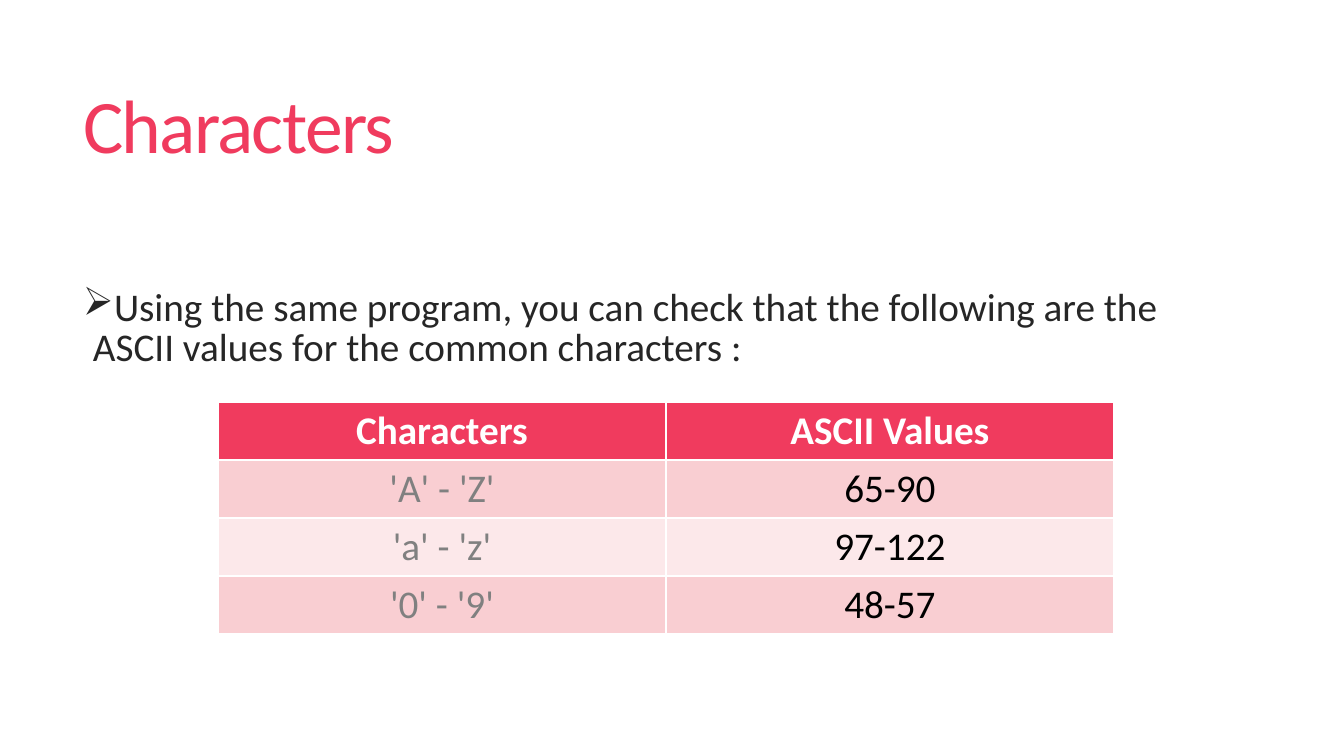
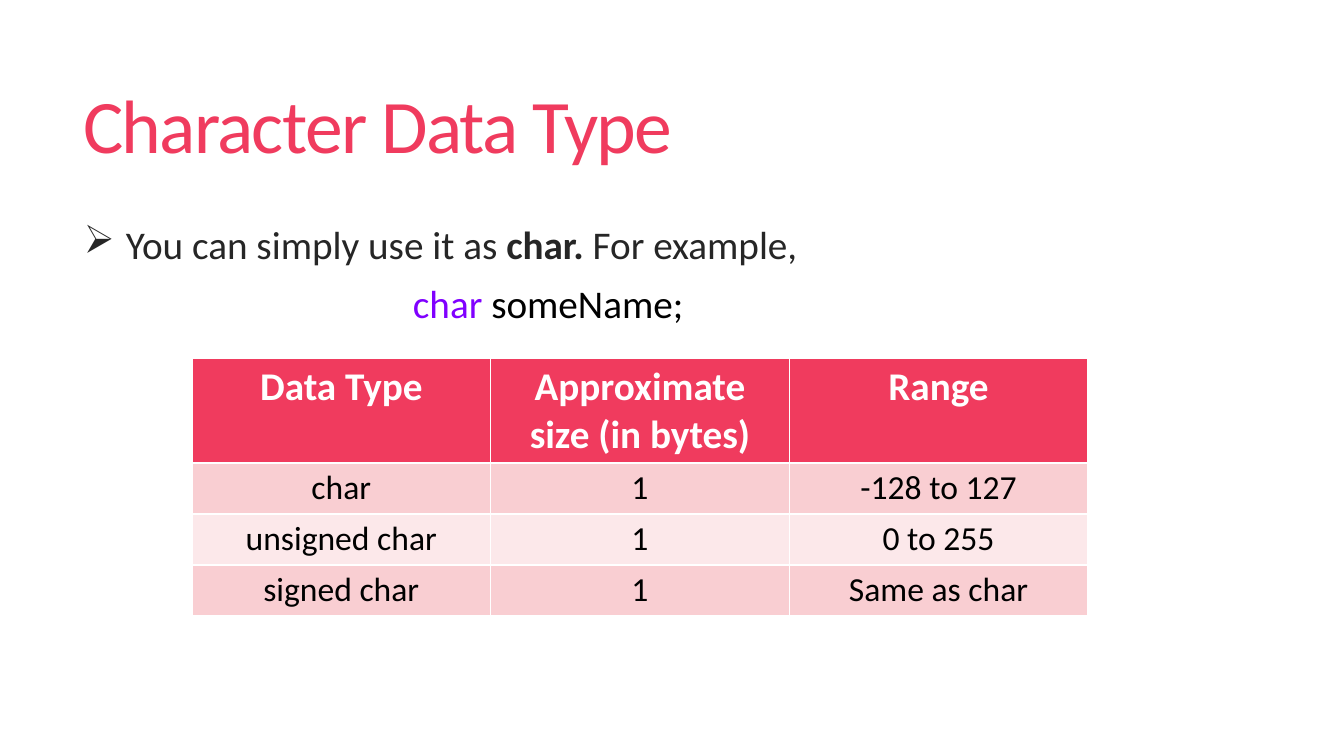
from lxml import etree
from pptx import Presentation
from pptx import util as u
from pptx.dml.color import RGBColor
from pptx.enum import text
from pptx.oxml import ns

ROSE = RGBColor(0xF0, 0x3B, 0x5E)
PINK = RGBColor(0xF9, 0xCE, 0xD2)
PALE = RGBColor(0xFC, 0xE8, 0xEA)
WHITE = RGBColor(0xFF, 0xFF, 0xFF)
BLACK = RGBColor(0, 0, 0)
GREY = RGBColor(0x80, 0x80, 0x80)
INK = RGBColor(0x26, 0x26, 0x26)
VIOLET = RGBColor(0x80, 0, 0xFF)
FONT = "Calibri"
TITLE_BOX = (73, 39, 1187, 183)
BODY_SIZE = 28
LINE_SPACING = 0.85
TABLE_WIDTH = 896


def px(pixels):
    return u.Emu(round(pixels * 914400 / 100.8))


def set_font(font, size, color, bold=False):
    font.name = FONT
    font.size = u.Pt(size)
    font.color.rgb = color
    font.bold = bold


def add_page(deck, title):
    """Add a title-only slide with the shared title style."""
    page = deck.slides.add_slide(deck.slide_layouts[5])
    box = page.shapes.title
    box.left, box.top, box.width, box.height = map(px, TITLE_BOX)
    frame = box.text_frame
    frame.text = title
    frame.vertical_anchor = text.MSO_ANCHOR.MIDDLE
    para = frame.paragraphs[0]
    para.alignment = text.PP_ALIGN.LEFT
    para.line_spacing = LINE_SPACING
    set_font(para.font, 54, ROSE)
    para.font._element.set("spc", "-120")
    return page


def add_body(page, box, lines):
    """Each line is (left margin, hanging indent, bullet, spans of text, color, bold)."""
    frame = page.shapes.add_textbox(*map(px, box)).text_frame
    frame.word_wrap = True
    for index, (margin, hanging, bullet, spans) in enumerate(lines):
        para = frame.add_paragraph() if index else frame.paragraphs[0]
        para.line_spacing = LINE_SPACING
        if index:
            para.space_before = u.Pt(13)
        props = para._p.get_or_add_pPr()
        props.set("marL", str(px(margin)))
        props.set("indent", str(px(-hanging)))
        if bullet:
            etree.SubElement(props, ns.qn("a:buChar")).set("char", bullet)
        for words, color, bold in spans:
            span = para.add_run()
            span.text = words
            set_font(span.font, BODY_SIZE, color, bold)


def add_grid(page, left, top, row_heights, rows, size, colors):
    """Draw a header row and banded rows; colors holds the text color per column."""
    head_height, row_height = row_heights
    height = head_height + row_height * (len(rows) - 1)
    table = page.shapes.add_table(
        len(rows), len(colors), px(left), px(top), px(TABLE_WIDTH), px(height)).table
    for column in table.columns:
        column.width = px(TABLE_WIDTH / len(colors))
    for r, values in enumerate(rows):
        table.rows[r].height = px(row_height if r else head_height)
        for c, value in enumerate(values):
            cell = table.cell(r, c)
            cell.text = value
            cell.fill.solid()
            para = cell.text_frame.paragraphs[0]
            para.alignment = text.PP_ALIGN.CENTER
            if r == 0:
                cell.fill.fore_color.rgb = ROSE
                set_font(para.font, BODY_SIZE, WHITE, True)
            else:
                cell.fill.fore_color.rgb = PINK if r % 2 else PALE
                set_font(para.font, size, colors[c])


def characters_page(deck):
    page = add_page(deck, "Characters")
    add_body(page, (73, 285, 1162, 97), [
        (10, 10, "➢", [("Using the same program, you can check that the following are the "
                        "ASCII values for the common characters :", INK, False)]),
    ])
    add_grid(page, 218, 402, (58, 58), [
        ("Characters", "ASCII Values"),
        ("'A' - 'Z'", "65-90"),
        ("'a' - 'z'", "97-122"),
        ("'0' - '9'", "48-57"),
    ], 28, (GREY, BLACK))


def data_type_page(deck):
    page = add_page(deck, "Character Data Type")
    add_body(page, (74, 223, 1246, 150), [
        (42, 42, "➢", [("You can simply use it as ", INK, False), ("char. ", INK, True),
                       ("For example,", INK, False)]),
        (329, 0, None, [("char ", VIOLET, False), ("someName;", BLACK, False)]),
    ])
    add_grid(page, 192, 358, (105, 51), [
        ("Data Type", "Approximate size (in bytes)", "Range"),
        ("char", "1", "-128 to 127"),
        ("unsigned char", "1", "0 to 255"),
        ("signed char", "1", "Same as char"),
    ], 24, (BLACK, BLACK, BLACK))


deck = Presentation()
deck.slide_width, deck.slide_height = px(1344), px(756)
characters_page(deck)
data_type_page(deck)
deck.save("out.pptx")
